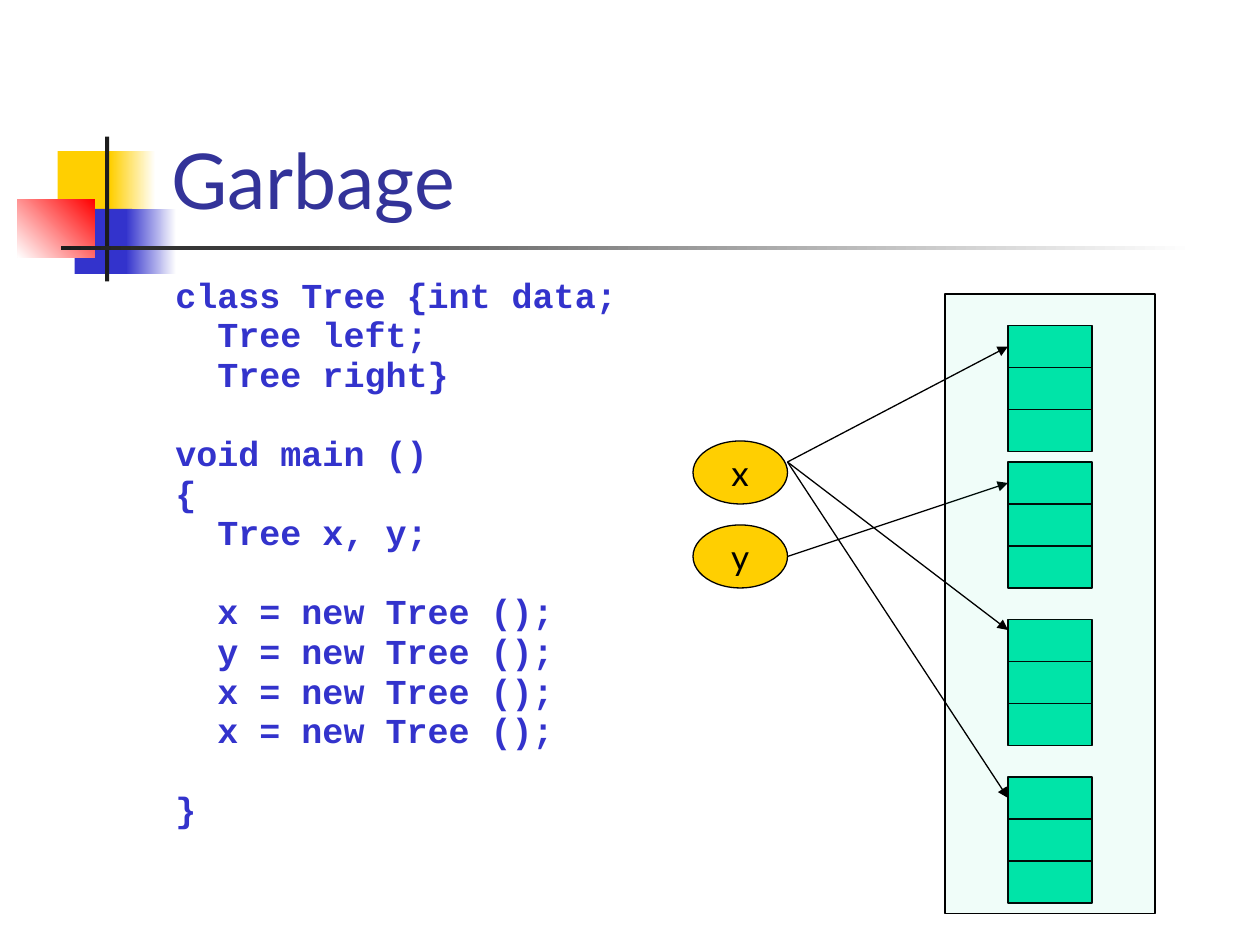
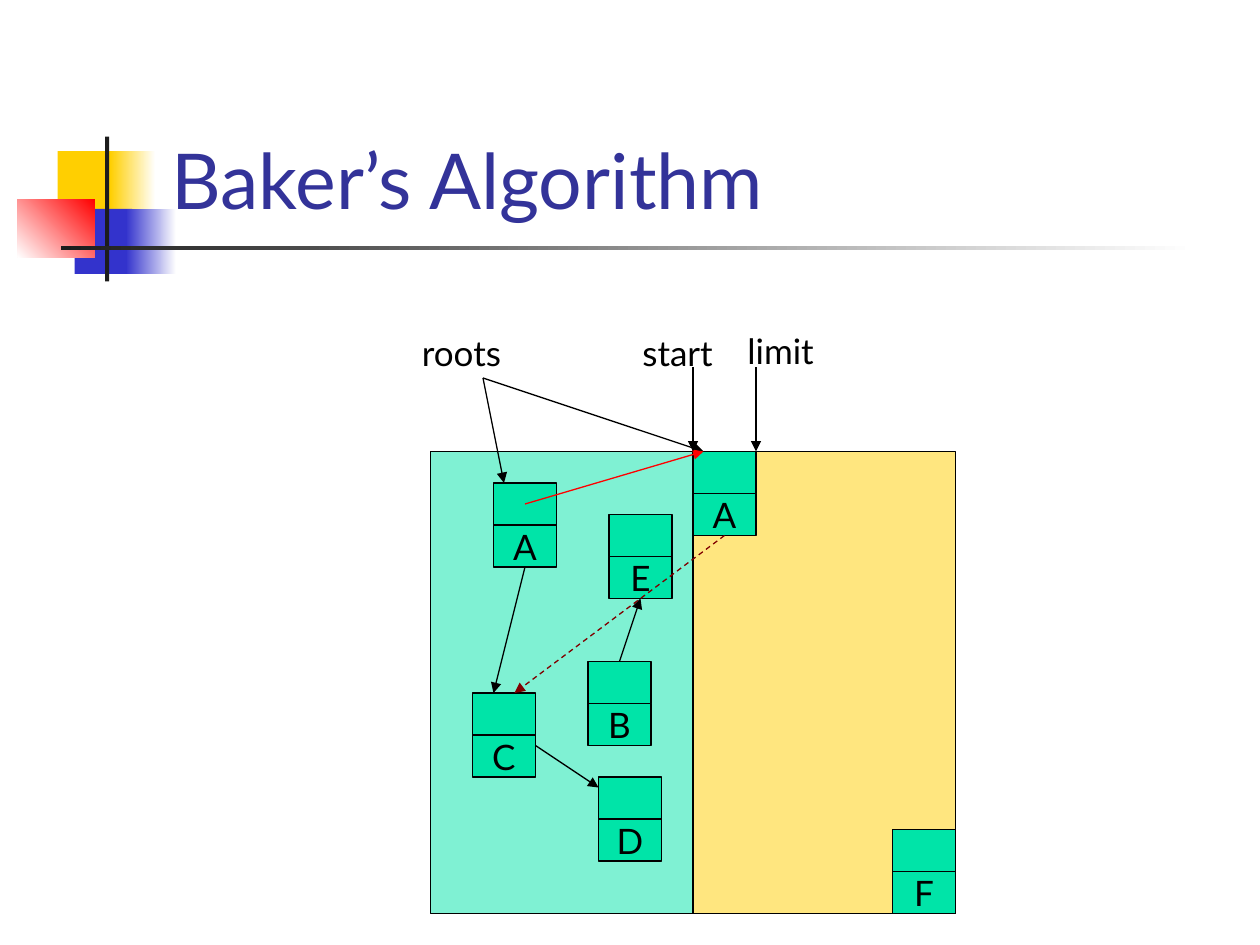
from dataclasses import dataclass

from lxml import etree
from pptx import Presentation
from pptx.dml.color import RGBColor
from pptx.enum.dml import MSO_LINE
from pptx.enum.shapes import MSO_CONNECTOR, MSO_SHAPE
from pptx.enum.text import MSO_ANCHOR, MSO_AUTO_SIZE, PP_ALIGN
from pptx.oxml.ns import qn
from pptx.util import Inches, Pt

RECT, OVAL = MSO_SHAPE.RECTANGLE, MSO_SHAPE.OVAL
STRAIGHT, DASH = MSO_CONNECTOR.STRAIGHT, MSO_LINE.DASH
LEFT, CENTER = PP_ALIGN.LEFT, PP_ALIGN.CENTER
TOP, MIDDLE, BOTTOM = MSO_ANCHOR.TOP, MSO_ANCHOR.MIDDLE, MSO_ANCHOR.BOTTOM
NO_FIT = MSO_AUTO_SIZE.NONE
SIDE_TOP, SIDE_LEFT, SIDE_BOTTOM = 0, 1, 2

SLIDE_WIDTH, SLIDE_HEIGHT = Inches(10), Inches(7.5)
COLUMNS = 120  # square grid: 120 columns by 90 rows
UNIT = SLIDE_WIDTH / COLUMNS
CELL_HEIGHT = 4


@dataclass(frozen=True)
class Theme:
    title: str = "333399"
    blue: str = "3333CC"
    yellow: str = "FFCF01"
    green: str = "00E4A8"
    red: str = "FF0000"
    maroon: str = "800000"
    white: str = "FFFFFF"
    black: str = "000000"
    dark: str = "1C1C1C"
    text_font: str = "Lato"
    code_font: str = "Courier New"
    title_size: float = 44
    text_size: float = 20
    line_width: float = 0.75
    code_spacing: float = 0.7
    code_gap: float = 6
    code_line: float = 21.86


@dataclass(frozen=True)
class Box:
    """A rectangle in grid units."""
    x: float
    y: float
    w: float
    h: float

    def point(self, dx, dy):
        return self.x + dx, self.y + dy

    def inner(self, dx, dy, w, h):
        return Box(*self.point(dx, dy), w, h)

    def lengths(self):
        return [round(v * UNIT) for v in (self.x, self.y, self.w, self.h)]


THEME = Theme()
TITLE_BOX = Box(15.1, 2.8, 102.2, 19.2)
CODE_BOX = Box(15.5, 26.5, 46.4, 54)
EMBLEM_BOX = Box(1.65, 13, 112, 13.8)

CODE = """class Tree {int data;
  Tree left;
  Tree right}

void main ()
{
  Tree x, y;

  x = new Tree ();
  y = new Tree ();
  x = new Tree ();
  x = new Tree ();

}"""


def rgb(color):
    return RGBColor.from_string(color)


def apply(target, formats):
    for name, value in formats.items():
        setattr(target, name, value)


def style_font(font, color=THEME.black, size=THEME.text_size,
               name=THEME.text_font, bold=False):
    apply(font, {"name": name, "size": Pt(size), "bold": bold})
    font.color.rgb = rgb(color)


def place(shape, box):
    apply(shape, dict(zip(("left", "top", "width", "height"), box.lengths())))


def add_block(page, kind, box, color, text="", opacity=None):
    """Add an outlined, filled shape with an optional centred label."""
    shape = page.shapes.add_shape(kind, *box.lengths())
    shape.shadow.inherit = False
    shape.fill.solid()
    shape.fill.fore_color.rgb = rgb(color)
    shape.line.color.rgb = rgb(THEME.black)
    shape.line.width = Pt(THEME.line_width)
    if opacity is not None:
        solid = shape.element.spPr.find(qn("a:solidFill"))
        etree.SubElement(solid[0], qn("a:alpha"), val=str(opacity * 1000))
    if text:
        frame = shape.text_frame
        apply(frame, {"word_wrap": False, "vertical_anchor": MIDDLE})
        para = frame.paragraphs[0]
        apply(para, {"text": text, "alignment": CENTER})
        style_font(para.font)
    return shape


def add_arrow(page, start, end, color=THEME.black, dash=None):
    """Join two ends, each a grid point or a (shape, side) pair."""
    ends = [end_ if isinstance(end_[0], (int, float)) else (0, 0)
            for end_ in (start, end)]
    arrow = page.shapes.add_connector(
        STRAIGHT, *(round(v * UNIT) for point in ends for v in point))
    for target, join in ((start, arrow.begin_connect), (end, arrow.end_connect)):
        if not isinstance(target[0], (int, float)):
            join(*target)
    apply(arrow.line, {"width": Pt(THEME.line_width), "dash_style": dash})
    arrow.line.color.rgb = rgb(color)
    etree.SubElement(arrow.line._get_or_add_ln(), qn("a:tailEnd"), type="triangle")
    etree.SubElement(arrow.element.spPr, qn("a:effectLst"))


def add_label(page, box, text):
    frame = page.shapes.add_textbox(*box.lengths()).text_frame
    frame.word_wrap = True
    para = frame.paragraphs[0]
    para.text = text
    style_font(para.font)


def add_emblem(deck, page, box):
    """Draw the corner squares and rules, then move them to the master."""
    parts = [
        ((3.85, 1.4, 5.8, 6.2), (THEME.yellow,), 0),
        ((8.85, 1.4, 4.3, 6.2), (THEME.white, THEME.yellow), 180),
        ((5.45, 6.9, 5.5, 6.2), (THEME.blue,), 0),
        ((10.35, 6.9, 4.8, 6.2), (THEME.white, THEME.blue), 180),
        ((0, 6, 7.4, 5.5), (THEME.red, THEME.white), 225),
        ((8.35, 0, 0.4, 13.8), (THEME.dark,), 0),
        ((4.15, 10.4, 108, 0.4), (THEME.white, THEME.dark), 180),
    ]
    tree = deck.slide_master.shapes.element
    for index, (area, colors, angle) in enumerate(parts):
        shape = add_block(page, RECT, box.inner(*area), colors[0])
        shape.line.fill.background()
        if len(colors) > 1:
            shape.fill.gradient()
            shape.fill.gradient_angle = angle
            for stop, color in zip(shape.fill.gradient_stops, colors):
                stop.color.rgb = rgb(color)
        tree.insert(2 + index, shape.element)


def add_page(deck, layout_name, title):
    page = deck.slides.add_slide(deck.slide_layouts.get_by_name(layout_name))
    place(page.shapes.title, TITLE_BOX)
    frame = page.shapes.title.text_frame
    apply(frame, {"text": title, "vertical_anchor": BOTTOM, "auto_size": NO_FIT})
    para = frame.paragraphs[0]
    para.alignment = LEFT
    style_font(para.font, THEME.title, THEME.title_size)
    return page


def fill_code(body, box):
    """Set the listing; each empty line becomes space before the next one."""
    place(body, box)
    frame = body.text_frame
    apply(frame, {"vertical_anchor": TOP, "auto_size": NO_FIT})
    para, gap = frame.paragraphs[0], 0
    for line in CODE.splitlines():
        if not line:
            gap += THEME.code_line
            continue
        if para.text:
            para = frame.add_paragraph()
        para.text = line
        properties = para._p.get_or_add_pPr()
        apply(para, {"space_before": Pt(gap), "line_spacing": THEME.code_spacing,
                     "alignment": LEFT})
        properties.set("marL", "0")
        properties.set("indent", "0")
        etree.SubElement(properties, qn("a:buNone"))
        style_font(para.font, THEME.blue, name=THEME.code_font, bold=True)
        gap = THEME.code_gap


def draw_tree_heap(page, box):
    """Draw variables x and y left of the heap, and the trees inside it."""
    x_var, y_var = (box.inner(-24, dy, 9, 6) for dy in (14, 22))
    add_block(page, OVAL, x_var, THEME.yellow, "x")
    add_block(page, OVAL, y_var, THEME.yellow, "y")
    heads = []
    for top in (3, 16, 31, 46):
        cells = [add_block(page, RECT,
                           box.inner(6, top + row * CELL_HEIGHT, 8, CELL_HEIGHT),
                           THEME.green) for row in range(3)]
        heads.append((cells[0], SIDE_LEFT))
    first, second, _, fourth = heads
    add_arrow(page, y_var.point(9, 3), second)
    add_block(page, RECT, box, THEME.green, opacity=6)
    for target in (first, box.point(6, 32), fourth):
        add_arrow(page, x_var.point(9, 2), target)


def draw_node(page, box, name):
    """Stack an empty cell on a named cell and return the two."""
    return [add_block(page, RECT, box.inner(0, row * CELL_HEIGHT, 6, CELL_HEIGHT),
                      THEME.green, text) for row, text in enumerate(("", name))]


def draw_copy_spaces(page, box):
    """Draw both half-spaces, their nodes, and the pointers between them."""
    half = box.w / 2
    for dx, color in ((0, THEME.yellow), (0, THEME.green))[:0] or (
            (0, THEME.green), (half, THEME.yellow)):
        add_block(page, RECT, box.inner(dx, 0, half, box.h), color, opacity=50)

    places = {"A": (6, 3), "C": (4, 23), "D": (16, 31), "B": (15, 20),
              "E": (17, 6), "A copied": (half, 0), "F": (box.w - 6, box.h - 8)}
    nodes = {key: draw_node(page, box.inner(*spot, 6, 8), key[0])
             for key, spot in places.items()}

    for text, dx, dy in (("roots", -2, -12), ("start", 19, -12), ("limit", 29, -12.2)):
        add_label(page, box.inner(dx, dy, 11, 5.3), text)

    roots, copied = box.point(5, -7), box.point(half + 1, 0)
    add_arrow(page, roots, box.point(7, 3))
    add_arrow(page, roots, copied)
    add_arrow(page, (nodes["A"][1], SIDE_BOTTOM), box.point(6, 23))
    add_arrow(page, box.point(10, 28), box.point(16, 32))
    add_arrow(page, (nodes["B"][0], SIDE_TOP), (nodes["E"][1], SIDE_BOTTOM))
    add_arrow(page, box.point(9, 5), copied, THEME.red)
    add_arrow(page, (nodes["A copied"][1], SIDE_BOTTOM), box.point(8, 23),
              THEME.maroon, DASH)
    for dx in (half, half + 6):
        add_arrow(page, box.point(dx, -8), box.point(dx, 0))


def main():
    deck = Presentation()
    apply(deck, {"slide_width": SLIDE_WIDTH, "slide_height": SLIDE_HEIGHT})

    garbage = add_page(deck, "Title and Content", "Garbage")
    add_emblem(deck, garbage, EMBLEM_BOX)
    fill_code(garbage.placeholders[1], CODE_BOX)
    draw_tree_heap(garbage, Box(90, 28, 20, 59))

    baker = add_page(deck, "Title Only", "Baker’s Algorithm")
    draw_copy_spaces(baker, Box(41, 43, 50, 44))
    deck.save("out.pptx")


if __name__ == "__main__":
    main()
